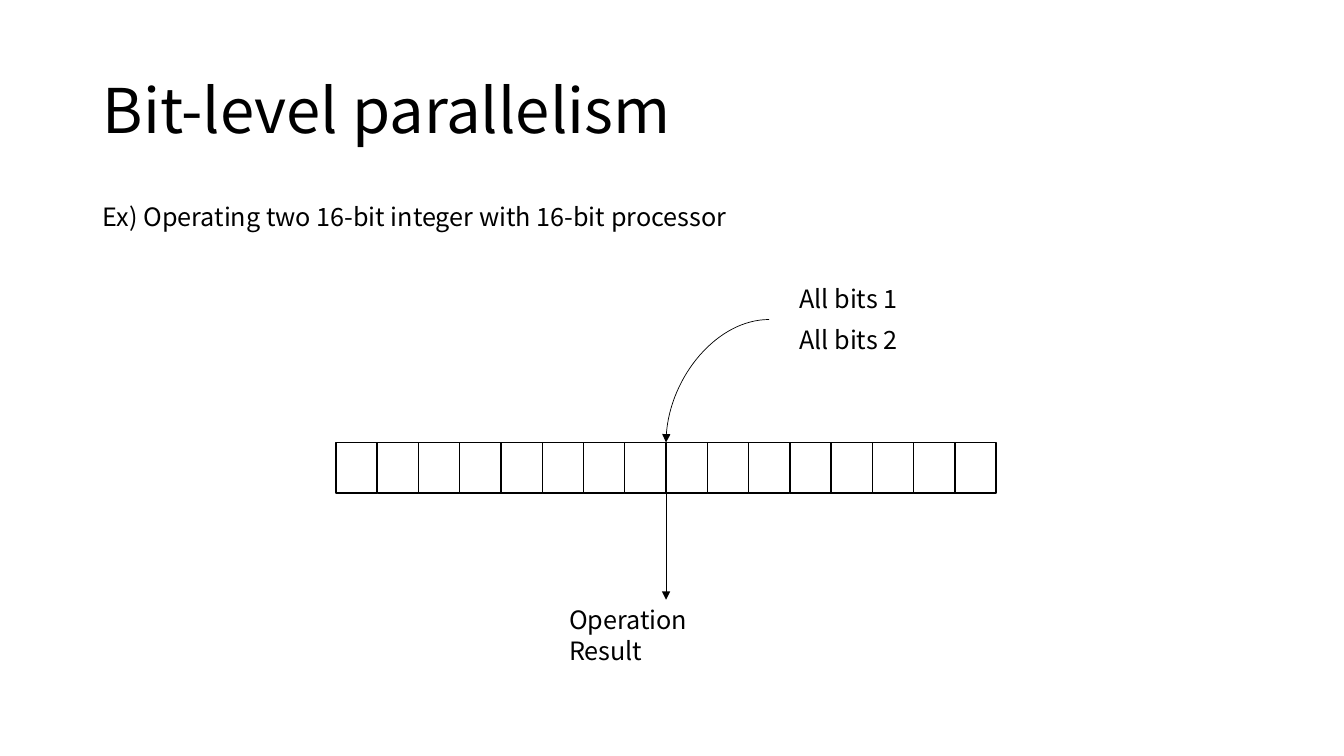
from typing import NamedTuple

from lxml import etree
from pptx import Presentation
from pptx import util as u
from pptx.dml import color
from pptx.enum import shapes, text
from pptx.oxml import ns

HUES = {"ink": "000000"}
FONT = "Noto Sans CJK KR"
WIDE, HIGH = u.Inches(13.333), u.Inches(7.5)
BITS, HALF = 16, 8
LEFT, TOP, STEP, TALL = 25, 58.53, 3.07, 6.67
MID = LEFT + HALF * STEP


class Box(NamedTuple):
    left: float
    top: float
    width: float
    height: float


class Label(NamedTuple):
    words: str
    box: Box
    form: dict


LABELS = [
    Label("Bit-level parallelism", Box(6.9, 5.33, 86.25, 19.33),
          {"size": 44, "space": 0.9, "anchor": text.MSO_ANCHOR.MIDDLE}),
    Label("Ex) Operating two 16-bit integer with 16-bit processor",
          Box(6.9, 26, 48.83, 5.33), {}),
    Label("All bits 1", Box(58.73, 36.8, 9.15, 5.33), {}),
    Label("All bits 2", Box(58.73, 42.27, 9.15, 5.33), {}),
]
RESULT = Label("Operation\vResult", Box(MID - 7.96, 79.33, 15.92, 5.33), {})


def across(share: float) -> int:
    return round(WIDE * share / 100)


def down(share: float) -> int:
    return round(HIGH * share / 100)


def place(box: Box) -> tuple:
    return across(box.left), down(box.top), across(box.width), down(box.height)


def ink() -> color.RGBColor:
    return color.RGBColor.from_string(HUES["ink"])


def write(slide, words: str, box: Box, *, size=18, space=None,
          anchor=text.MSO_ANCHOR.TOP):
    shape = slide.shapes.add_textbox(*place(box))
    frame = shape.text_frame
    frame.word_wrap = True
    frame.vertical_anchor = anchor
    para = frame.paragraphs[0]
    para.text = words
    para.line_spacing = space
    for run in para.runs:
        run.font.name = FONT
        run.font.size = u.Pt(size)
        run.font.color.rgb = ink()
        props = run.font._element
        etree.SubElement(props, ns.qn("a:ea")).set("typeface", FONT)
    return shape


def draw_bits(slide, first: int) -> None:
    group = slide.shapes.add_group_shape()
    for bit in range(first, first + HALF):
        box = Box(LEFT + bit * STEP, TOP, STEP, TALL)
        cell = group.shapes.add_shape(shapes.MSO_SHAPE.RECTANGLE, *place(box))
        cell.shadow.inherit = False
        cell.fill.background()
        cell.line.color.rgb = ink()
        cell.line.width = u.Pt(1)


def draw_arrow(slide, kind, start: tuple, end: tuple):
    arrow = slide.shapes.add_connector(
        kind, across(start[0]), down(start[1]), across(end[0]), down(end[1]))
    arrow.line.color.rgb = ink()
    arrow.line.width = u.Pt(0.5)
    props = arrow._element.spPr
    tail = etree.SubElement(props.find(ns.qn("a:ln")), ns.qn("a:tailEnd"))
    tail.set("type", "triangle")
    etree.SubElement(props, ns.qn("a:effectLst"))
    return arrow


def main() -> None:
    deck = Presentation()
    deck.slide_width, deck.slide_height = WIDE, HIGH
    slide = deck.slides.add_slide(deck.slide_layouts[6])
    for label in LABELS:
        write(slide, label.words, label.box, **label.form)
    goal = write(slide, RESULT.words, RESULT.box, **RESULT.form)
    for first in range(0, BITS, HALF):
        draw_bits(slide, first)
    curve = draw_arrow(slide, shapes.MSO_CONNECTOR.CURVE,
                       (57.23, 42.27), (MID, TOP))
    curve._element.spPr.find(ns.qn("a:prstGeom")).set("prst", "curvedConnector2")
    drop = draw_arrow(slide, shapes.MSO_CONNECTOR.STRAIGHT,
                      (MID, TOP + TALL), (MID, RESULT.box.top))
    drop.end_connect(goal, 0)
    deck.save("out.pptx")


if __name__ == "__main__":
    main()
